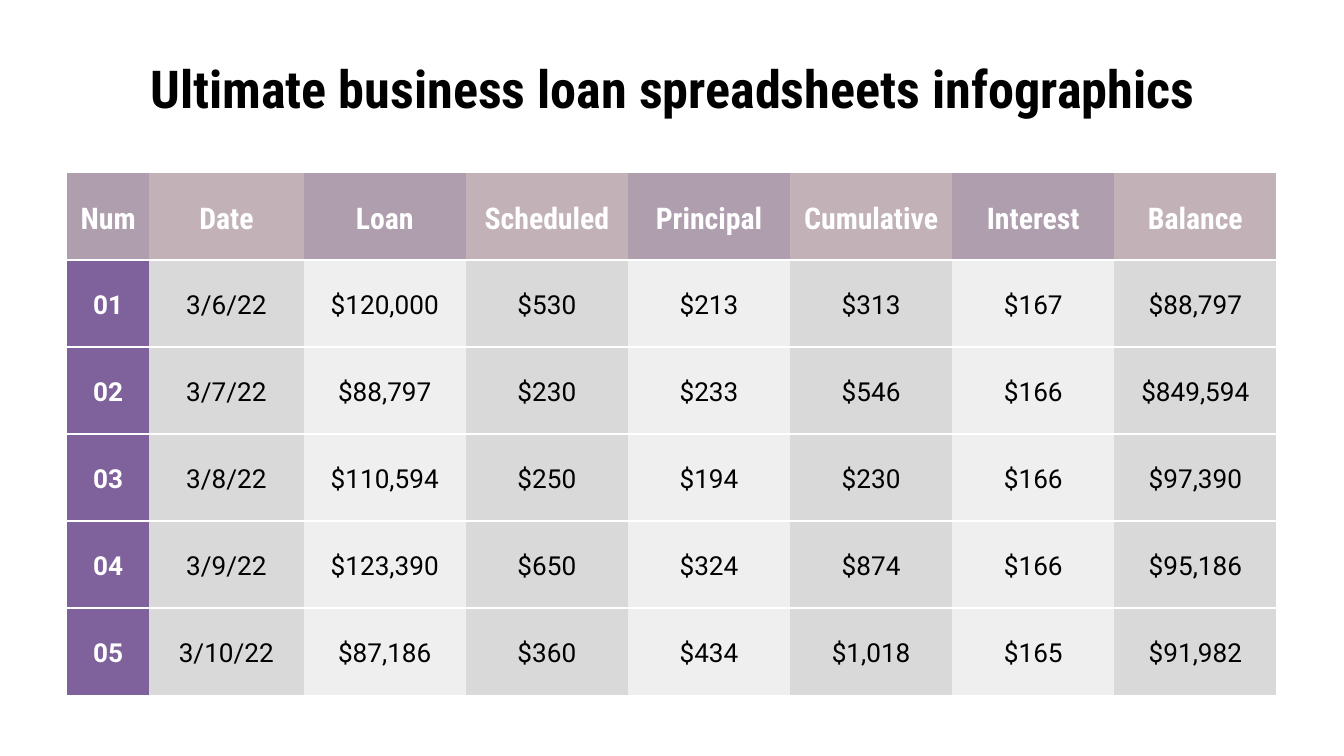
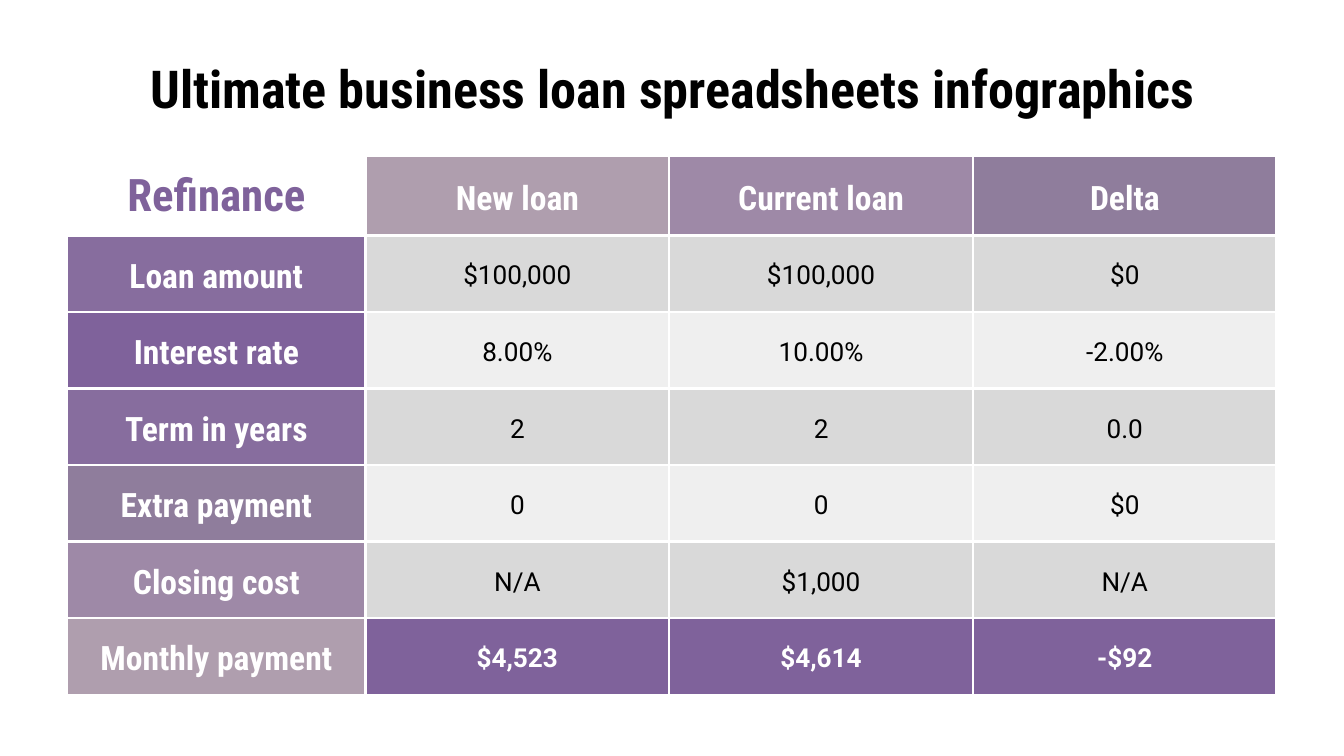
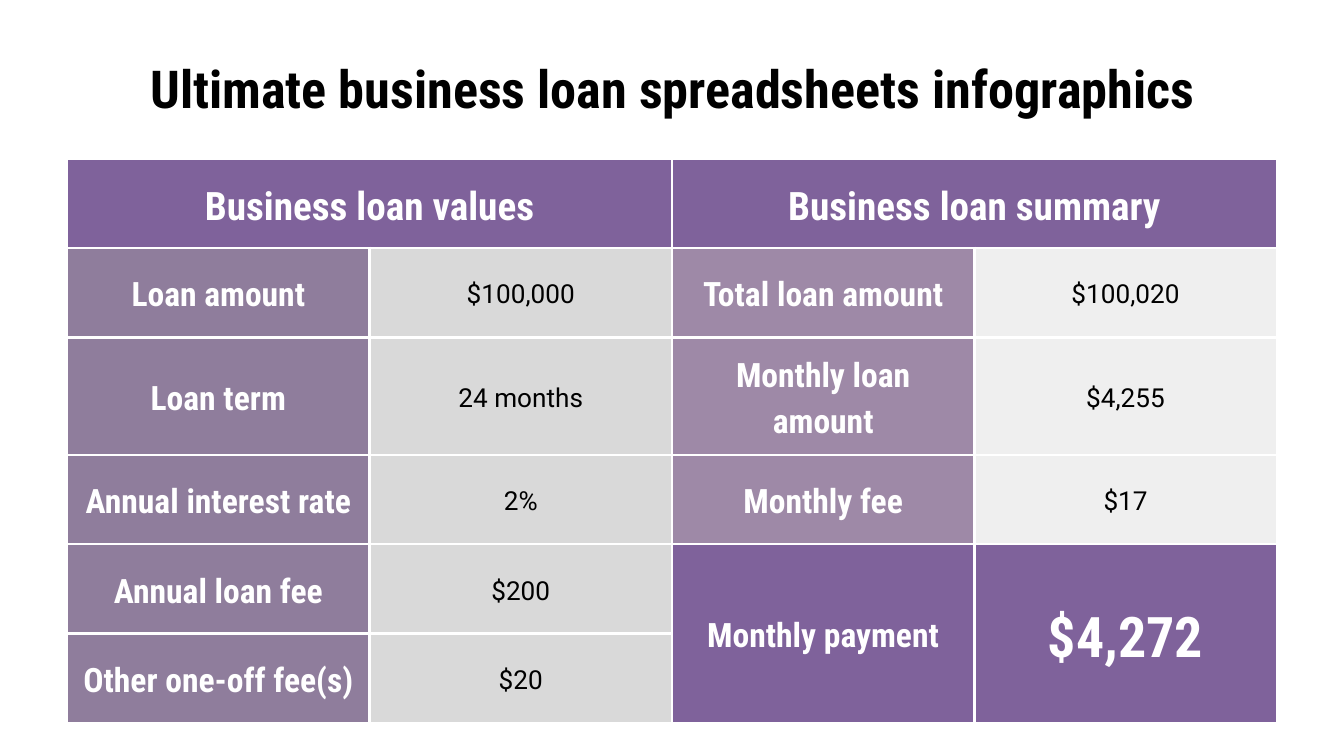
import dataclasses

import lxml.etree
import pptx
import pptx.dml.color
import pptx.enum.text
import pptx.oxml.ns
import pptx.util

Inches = pptx.util.Inches


@dataclasses.dataclass(frozen=True)
class TextStyle:
    size: float
    color: str = "FFFFFF"
    font: str = "Roboto Condensed"
    bold: bool = True
    line_spacing: float = 1.15


@dataclasses.dataclass(frozen=True)
class Theme:
    purple: str = "7F629B"
    violet: str = "876D9E"
    slate: str = "8F7D9C"
    mauve: str = "9E89A7"
    lilac: str = "AF9EAE"
    rose: str = "C2B2B7"
    dark_gray: str = "D9D9D9"
    light_gray: str = "EFEFEF"
    border: str = "FFFFFF"
    border_width: float = 1.5
    inset: float = 0.1
    left: float = 0.5
    width: float = 9
    title: TextStyle = TextStyle(28, "000000", line_spacing=1)
    corner: TextStyle = TextStyle(24, "7F629B", line_spacing=1)
    section: TextStyle = TextStyle(21)
    label: TextStyle = TextStyle(18)
    column: TextStyle = TextStyle(16)
    value: TextStyle = TextStyle(14, "000000", "Roboto", False)
    strong_value: TextStyle = TextStyle(14, font="Roboto")
    result: TextStyle = TextStyle(30)


THEME = Theme()
TITLE = "Ultimate business loan spreadsheets infographics"


def rgb(color):
    return pptx.dml.color.RGBColor.from_string(color)


def write(text_frame, text, style, align=pptx.enum.text.PP_ALIGN.CENTER):
    text_frame.word_wrap = True
    paragraph = text_frame.paragraphs[0]
    paragraph.alignment = align
    paragraph.line_spacing = style.line_spacing
    run = paragraph.add_run()
    run.text = text
    run.font.name = style.font
    run.font.size = pptx.util.Pt(style.size)
    run.font.bold = style.bold
    run.font.color.rgb = rgb(style.color)


def set_insets(box):
    """Give a cell or text frame the shared insets and middle anchor."""
    box.margin_left = box.margin_right = Inches(THEME.inset)
    box.margin_top = box.margin_bottom = Inches(THEME.inset)
    box.vertical_anchor = pptx.enum.text.MSO_ANCHOR.MIDDLE


def set_borders(cell, visible_sides):
    """Draw the sides named in visible_sides (of "LRTB") and clear the others."""
    qn = pptx.oxml.ns.qn
    properties = cell._tc.get_or_add_tcPr()
    for side in "LRTB":
        line = lxml.etree.SubElement(properties, qn(f"a:ln{side}"))
        if side in visible_sides:
            line.set("w", str(pptx.util.Pt(THEME.border_width)))
            fill = lxml.etree.SubElement(line, qn("a:solidFill"))
            lxml.etree.SubElement(fill, qn("a:srgbClr")).set("val", THEME.border)
        else:
            lxml.etree.SubElement(line, qn("a:noFill"))


class Deck:
    def __init__(self):
        self.presentation = pptx.Presentation()
        self.presentation.slide_width = Inches(10)
        self.presentation.slide_height = Inches(10) * 9 // 16
        self.slide = None

    def add_slide(self, title):
        layout = self.presentation.slide_layouts.get_by_name("Title Only")
        self.slide = self.presentation.slides.add_slide(layout)
        shape = self.slide.shapes.title
        shape.left, shape.top = Inches(THEME.left), Inches(0.45)
        shape.width, shape.height = Inches(THEME.width), Inches(0.41)
        text_frame = shape.text_frame
        set_insets(text_frame)
        text_frame.auto_size = pptx.enum.text.MSO_AUTO_SIZE.NONE
        write(text_frame, title, THEME.title)

    def add_table(self, top, widths, heights, rows, row_sides=None, merges=()):
        """Fill a table from rows of (text, style, fill); None is a merged-away cell."""
        row_sides = row_sides or ["LRTB"] * len(rows)
        table = self.slide.shapes.add_table(
            len(heights), len(widths), Inches(THEME.left), Inches(top),
            Inches(sum(widths)), Inches(sum(heights))).table
        table.first_row = table.horz_banding = False
        for column, width in zip(table.columns, widths):
            column.width = Inches(width)
        for row, height in zip(table.rows, heights):
            row.height = Inches(height)
        for row_index, row in enumerate(rows):
            for column_index, content in enumerate(row):
                cell = table.cell(row_index, column_index)
                set_borders(cell, row_sides[row_index])
                if content:
                    self.fill_cell(cell, *content)
        for first, last in merges:
            table.cell(*first).merge(table.cell(*last))

    def fill_cell(self, cell, text, style, fill):
        set_insets(cell)
        if fill:
            cell.fill.solid()
            cell.fill.fore_color.rgb = rgb(fill)
        else:
            cell.fill.background()
        write(cell.text_frame, text, style)


def add_schedule(deck):
    headers = ["Num", "Date", "Loan", "Scheduled", "Principal", "Cumulative",
               "Interest", "Balance"]
    payments = [
        ["01", "3/6/22", "$120,000", "$530", "$213", "$313", "$167", "$88,797"],
        ["02", "3/7/22", "$88,797", "$230", "$233", "$546", "$166", "$849,594"],
        ["03", "3/8/22", "$110,594", "$250", "$194", "$230", "$166", "$97,390"],
        ["04", "3/9/22", "$123,390", "$650", "$324", "$874", "$166", "$95,186"],
        ["05", "3/10/22", "$87,186", "$360", "$434", "$1,018", "$165", "$91,982"],
    ]
    header_fills = [THEME.lilac, THEME.rose]
    value_fills = [THEME.light_gray, THEME.dark_gray]
    rows = [[(text, THEME.column, header_fills[index % 2])
             for index, text in enumerate(headers)]]
    for number, *values in payments:
        rows.append([(number, THEME.strong_value, THEME.purple)]
                    + [(text, THEME.value, value_fills[index % 2])
                       for index, text in enumerate(values, start=1)])
    number_width, date_width = 0.61, 1.15
    amount_width = (THEME.width - number_width - date_width) / 6
    table_height = 3.88
    deck.add_slide(TITLE)
    deck.add_table(1.29, [number_width, date_width] + [amount_width] * 6,
                   [table_height / len(rows)] * len(rows), rows,
                   row_sides=["B"] + ["TB"] * (len(rows) - 2) + ["T"])


def add_refinance(deck):
    terms = [
        (THEME.violet, "Loan amount", "$100,000", "$100,000", "$0"),
        (THEME.purple, "Interest rate", "8.00%", "10.00%", "-2.00%"),
        (THEME.violet, "Term in years", "2", "2", "0.0"),
        (THEME.slate, "Extra payment", "0", "0", "$0"),
        (THEME.mauve, "Closing cost", "N/A", "$1,000", "N/A"),
        (THEME.lilac, "Monthly payment", "$4,523", "$4,614", "-$92"),
    ]
    rows = [[("Refinance", THEME.corner, None),
             ("New loan", THEME.label, THEME.lilac),
             ("Current loan", THEME.label, THEME.mauve),
             ("Delta", THEME.label, THEME.slate)]]
    for index, (label_fill, label, *values) in enumerate(terms):
        style = THEME.value
        fill = THEME.light_gray if index % 2 else THEME.dark_gray
        if index == len(terms) - 1:
            style, fill = THEME.strong_value, THEME.purple
        rows.append([(label, THEME.label, label_fill)]
                    + [(text, style, fill) for text in values])
    deck.add_slide(TITLE)
    deck.add_table(1.16, [2.22] + [2.26] * 3, [0.59] + [0.57] * len(terms), rows)


def add_summary(deck):
    loan_values = [("Loan amount", "$100,000"), ("Loan term", "24 months"),
                   ("Annual interest rate", "2%"), ("Annual loan fee", "$200"),
                   ("Other one-off fee(s)", "$20")]
    summary = [("Total loan amount", "$100,020"), ("Monthly loan amount", "$4,255"),
               ("Monthly fee", "$17")]

    def pairs(items, label_fill, value_fill):
        return [[(label, THEME.label, label_fill), (value, THEME.value, value_fill)]
                for label, value in items]

    left = pairs(loan_values, THEME.slate, THEME.dark_gray)
    right = pairs(summary, THEME.mauve, THEME.light_gray)
    right += [[("Monthly payment", THEME.label, THEME.purple),
               ("$4,272", THEME.result, THEME.purple)], [None, None]]
    rows = [[("Business loan values", THEME.section, THEME.purple), None,
             ("Business loan summary", THEME.section, THEME.purple), None]]
    rows += [left_pair + right_pair for left_pair, right_pair in zip(left, right)]
    table_height = 3.99
    deck.add_slide(TITLE)
    deck.add_table(1.18, [THEME.width / 4] * 4,
                   [table_height / len(rows)] * len(rows), rows,
                   merges=[((0, 0), (0, 1)), ((0, 2), (0, 3)),
                           ((4, 2), (5, 2)), ((4, 3), (5, 3))])


def main():
    deck = Deck()
    add_schedule(deck)
    add_refinance(deck)
    add_summary(deck)
    deck.presentation.save("out.pptx")


if __name__ == "__main__":
    main()
